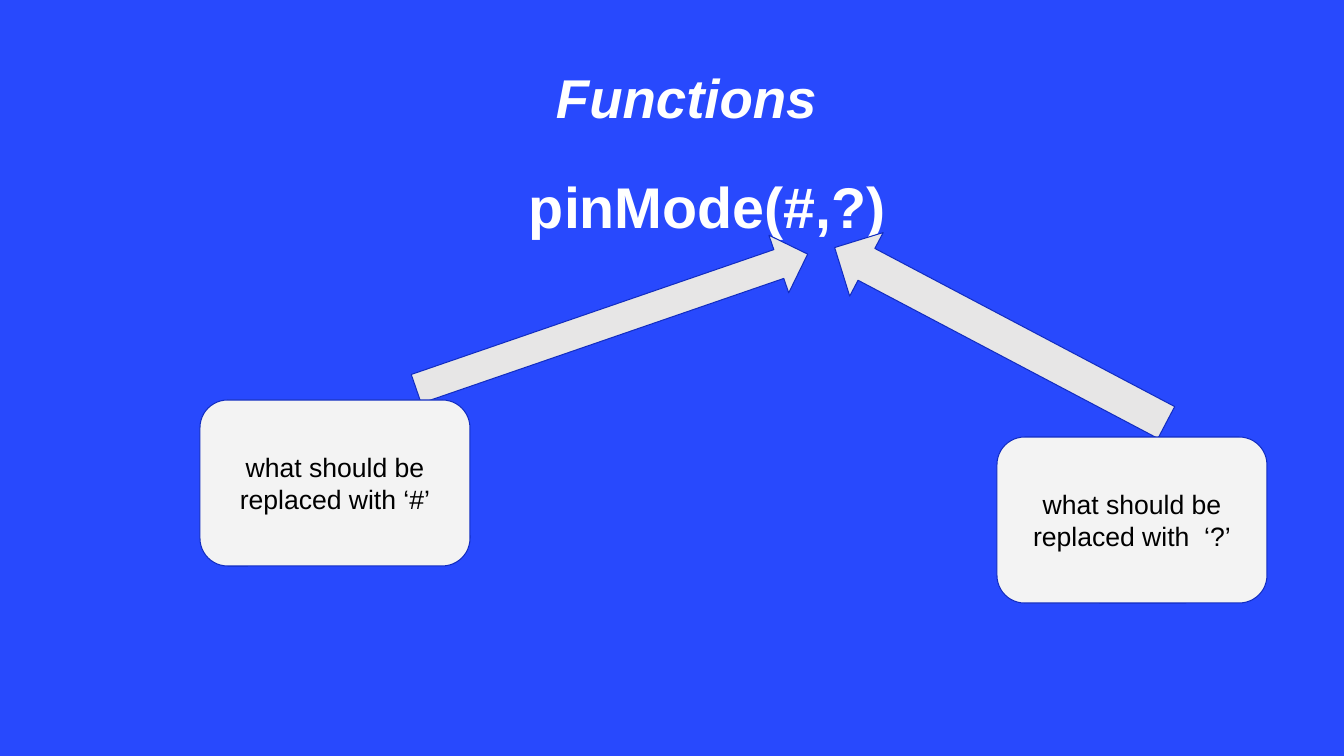
"""Build a slide explaining the two arguments of pinMode."""
from pptx import Presentation
from pptx.dml.color import RGBColor
from pptx.enum.shapes import MSO_SHAPE as Shape
from pptx.enum.text import MSO_ANCHOR as Anchor, MSO_AUTO_SIZE as AutoSize, PP_ALIGN as Align
from pptx.util import Pt

PX = 12192000 / 1344


def paint(color_format, hex_color):
    color_format.rgb = RGBColor.from_string(hex_color)


def write(frame, text, size, color, anchor, align, indent=0, bold=False, italic=False):
    frame.word_wrap = True
    frame.auto_size = AutoSize.NONE
    frame.vertical_anchor = anchor
    frame.margin_left = frame.margin_right = round(10 * PX)
    frame.margin_top = frame.margin_bottom = round(10 * PX)
    paragraph = frame.paragraphs[0]
    paragraph.alignment = align
    properties = paragraph._p.get_or_add_pPr()
    properties.set("marL", str(round(indent * PX)))
    properties.set("indent", "0")
    run = paragraph.add_run()
    run.text = text
    run.font.name = "Arial"
    run.font.size = Pt(size)
    run.font.bold = bold
    run.font.italic = italic
    paint(run.font.color, color)


deck = Presentation()
deck.slide_width, deck.slide_height = round(1344 * PX), round(756 * PX)
slide = deck.slides.add_slide(deck.slide_layouts[5])
slide.background.fill.solid()
paint(slide.background.fill.fore_color, "2849FD")

heading = slide.shapes.title
heading.left, heading.top, heading.width, heading.height = [
    round(v * PX) for v in (395, 54, 553, 227)]
write(heading.text_frame, "Functions", 39, "FFFFFF", Anchor.TOP, Align.LEFT,
      indent=151, bold=True, italic=True)

call = slide.shapes.add_textbox(*[round(v * PX) for v in (418, 161, 508, 119)])
write(call.text_frame, "pinMode(#,?)", 41, "FFFFFF", Anchor.TOP, Align.LEFT,
      indent=101, bold=True)

ARROW, BOX = Shape.RIGHT_ARROW, Shape.ROUNDED_RECTANGLE
for kind, bounds, rotation, fill, question in [
    (ARROW, (405, 291, 414, 61), 341, "E7E6E6", ""),
    (ARROW, (813, 299, 375, 72), 207.8, "E7E6E6", ""),
    (BOX, (200, 400, 270, 166), 0, "F3F3F3", "what should be replaced with ‘#’"),
    (BOX, (997, 437, 270, 166), 0, "F3F3F3", "what should be replaced with  ‘?’"),
]:
    part = slide.shapes.add_shape(kind, *[round(v * PX) for v in bounds])
    part.rotation = rotation
    part.shadow.inherit = False
    part.fill.solid()
    paint(part.fill.fore_color, fill)
    paint(part.line.color, "112CC1")
    part.line.width = Pt(0.75)
    if question:
        write(part.text_frame, question, 19, "000000", Anchor.MIDDLE, Align.CENTER)

deck.save("out.pptx")
